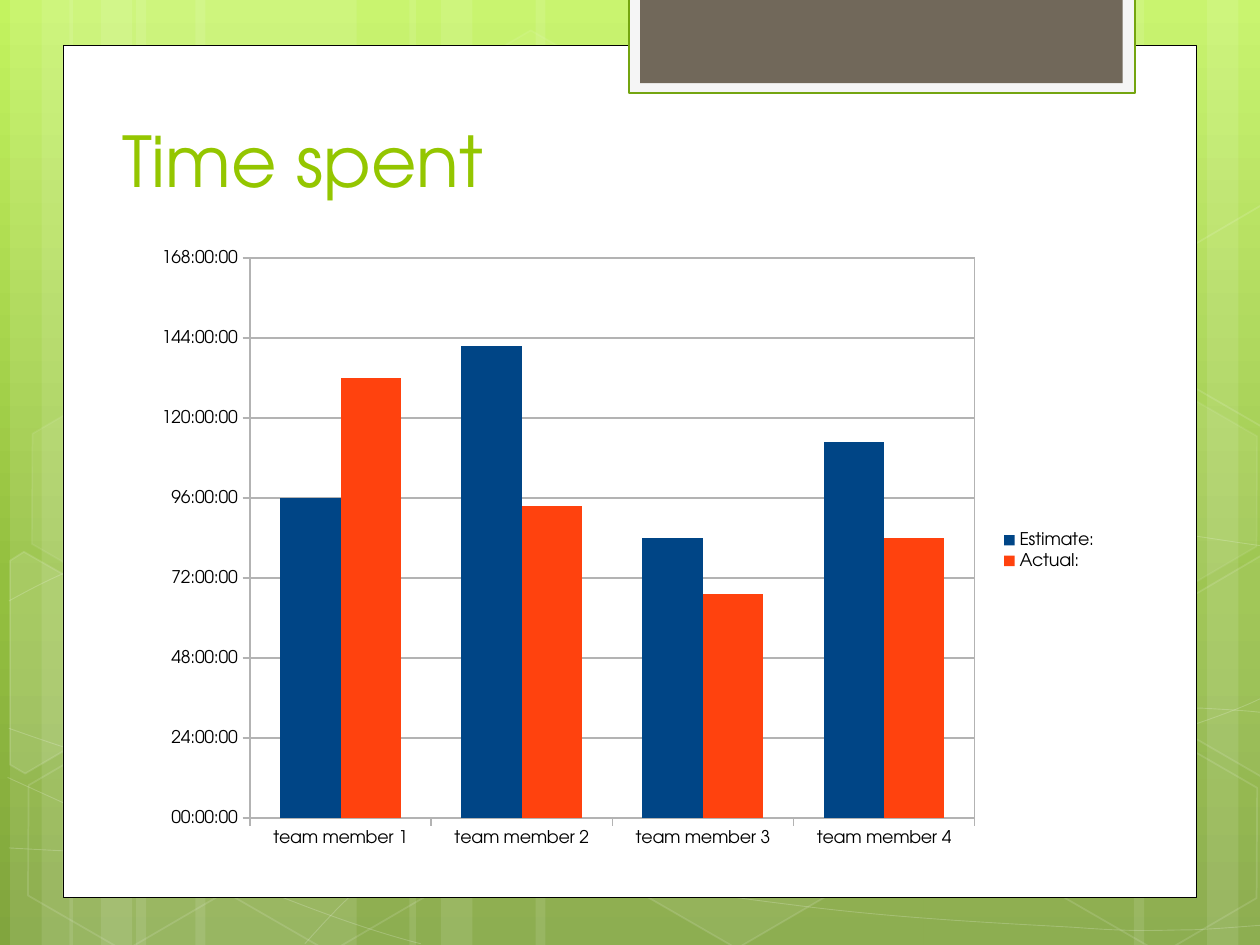
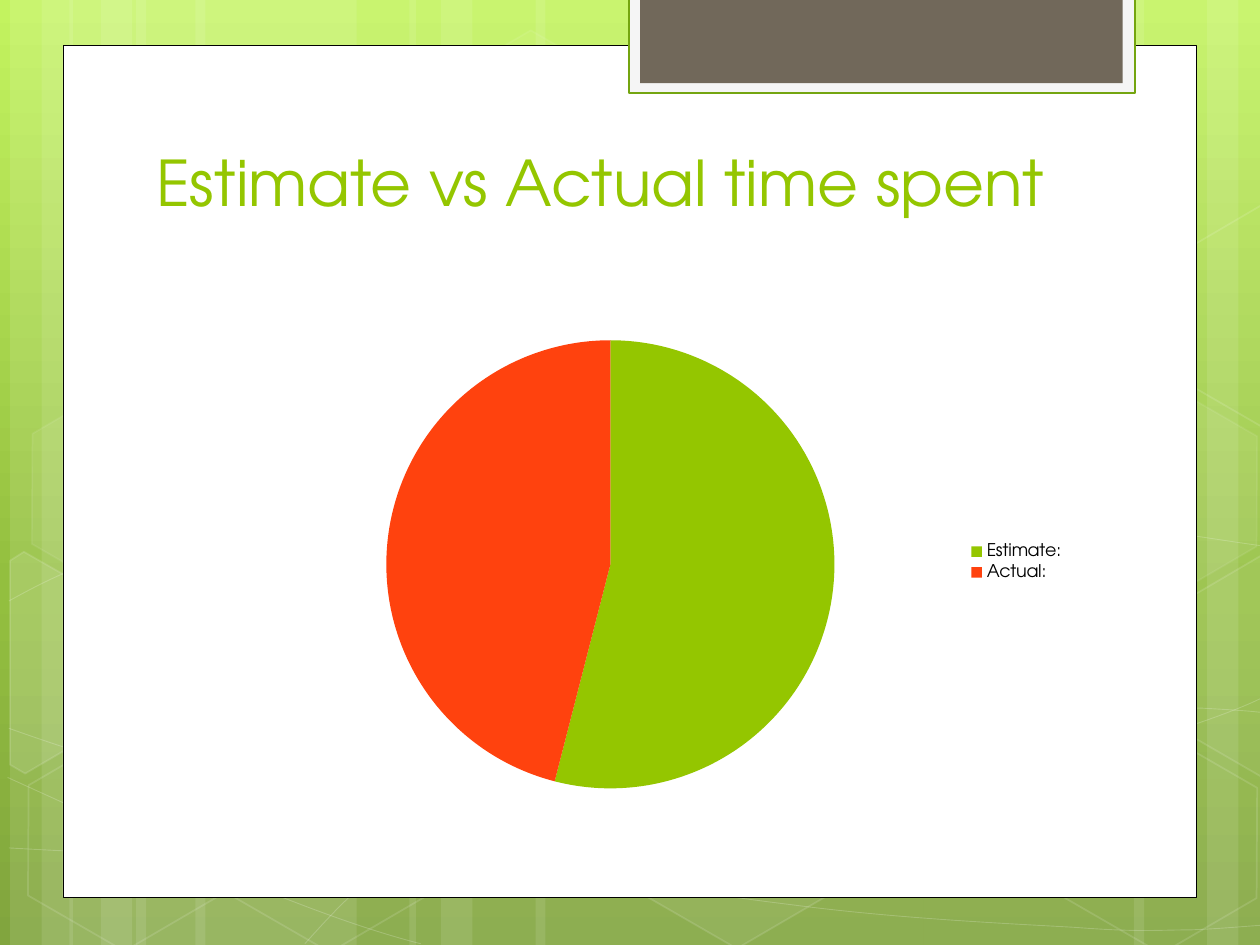
from lxml import etree
from pptx import Presentation
from pptx.chart.data import CategoryChartData
from pptx.dml.color import RGBColor
from pptx.enum.chart import XL_CHART_TYPE, XL_LEGEND_POSITION, XL_TICK_MARK
from pptx.enum.shapes import MSO_SHAPE
from pptx.enum.text import MSO_ANCHOR
from pptx.oxml import parse_xml
from pptx.oxml.ns import nsdecls, qn
from pptx.util import Inches, Pt

RECT, HEXAGON = MSO_SHAPE.RECTANGLE, MSO_SHAPE.HEXAGON
COLUMN, PIE = XL_CHART_TYPE.COLUMN_CLUSTERED, XL_CHART_TYPE.PIE
RIGHT, OUTSIDE, BOTTOM = XL_LEGEND_POSITION.RIGHT, XL_TICK_MARK.OUTSIDE, MSO_ANCHOR.BOTTOM
FONT = "TeX Gyre Adventor"
COLORS = {
    "sky": "C3F35F", "grass": "93BF3F", "moss": "81A53E",
    "white": "FFFFFF", "black": "000000", "frame": "F5F5F5", "frame_line": "74A510",
    "tab": "71685A", "lime": "94C600", "grid": "B3B3B3", "blue": "004586", "orange": "FF420E",
}
RGB = {name: RGBColor.from_string(value) for name, value in COLORS.items()}

STRIPES = [(1.08, 1.75), (0.08, 0.5), (0.33, 0.83), (1.55, 1.75), (0.55, 0.5), (0.8, 0.83),
           (7.33, 1.75), (9.58, 0.5), (9, 0.83), (4.25, 3.08), (3.25, 0.5), (3.5, 0.83)]
CURVES = [
    [(0.07, 6.73), (0.61, 6.76), (1.15, 6.79), (1.9, 6.78), (2.65, 6.77), (3.58, 6.75),
     (4.58, 6.65), (5.58, 6.55), (7, 6.36), (7.92, 6.17), (8.83, 5.98), (9.77, 5.68), (10.07, 5.51)],
    [(0.07, 4.77), (0.36, 4.61), (0.65, 4.46), (1.21, 4.31), (1.78, 4.16), (2.59, 3.94),
     (3.47, 3.87), (4.36, 3.8), (5.44, 3.79), (6.54, 3.87), (7.64, 3.95), (9.47, 4.26), (10.07, 4.34)],
    [(0.06, 6.17), (1.27, 6.72), (2.47, 7.27), (3.34, 7.49)],
    [(0.07, 5.78), (0.38, 5.89), (0.7, 6), (1.28, 6.16), (1.86, 6.31), (2.73, 6.56),
     (3.57, 6.73), (4.4, 6.9), (5.45, 7.08), (6.28, 7.18), (7.11, 7.29), (8, 7.33),
     (8.53, 7.36), (9.05, 7.4), (9.19, 7.38), (9.45, 7.38), (9.71, 7.37), (9.89, 7.35), (10.07, 7.34)],
    [(2.42, 7.49), (2.6, 7.29), (2.78, 7.09), (3.02, 6.91), (3.26, 6.73), (3.6, 6.53),
     (3.88, 6.39), (4.16, 6.25), (4.33, 6.19), (4.7, 6.09), (5.06, 5.99), (5.73, 5.85),
     (6.08, 5.78), (6.44, 5.71), (6.49, 5.71), (6.8, 5.69), (7.11, 5.66), (7.6, 5.63),
     (7.94, 5.62), (8.29, 5.61), (8.86, 5.62), (8.86, 5.62), (8.86, 5.62), (9.53, 5.62),
     (9.53, 5.62), (9.71, 5.63), (9.88, 5.64), (9.97, 5.65), (10.06, 5.66), (10.03, 5.65), (10.06, 5.66)],
]
HEXAGONS = [(3.34, 0.36, 4, 8), (4.97, 5.89, 6, 12), (0.11, 5.91, 0, 12), (0.14, 3.12, 7, 8),
            (1.74, 5.92, 0, 12), (7.53, 4.53, 10, 12), (8.34, 5.93, 0, 12), (8.34, 3.14, 7, 8)]
CUT_HEXAGONS = [
    (10, [(0.08, 4.45), (0.19, 4.38), (0.96, 4.82), (0.95, 5.7), (0.2, 6.14), (0.08, 6.07)]),
    (4, [(9.26, 4.85), (10.01, 4.41), (10.09, 4.46), (10.09, 6.13), (10.02, 6.17), (9.26, 5.73)]),
    (0, [(9.26, 2.07), (10.01, 1.63), (10.1, 1.68), (10.09, 3.35), (10.02, 3.39), (9.26, 2.95)]),
]
CARDS = [((0.5, 0.36, 9, 6.76), "white", "black", 0.5),
         ((4.99, -0.02, 4.02, 0.76), "frame", "frame_line", 1.25),
         ((5.08, -0.02, 3.83, 0.68), "tab", None, 0)]
TITLES = [("Time spent", 40, 0.87, 0.4, 0.05),
          ("Estimate vs Actual time spent", 36, 1.14, 1.12, 0.63)]


def paint(sp, fill=None, fill_alpha=100, line=None, width=1, line_alpha=100):
    sp.shadow.inherit = False
    if fill and fill_alpha:
        sp.fill.solid()
        sp.fill.fore_color.rgb = RGB[fill]
    else:
        sp.fill.background()
    if line:
        sp.line.color.rgb = RGB[line]
        sp.line.width = Pt(width)
    else:
        sp.line.fill.background()
    for parent, alpha in (("", fill_alpha), (qn("a:ln") + "/", line_alpha)):
        clr = sp._element.spPr.find(parent + qn("a:solidFill") + "/" + qn("a:srgbClr"))
        if clr is not None and alpha < 100:
            etree.SubElement(clr, qn("a:alpha")).set("val", str(alpha * 1000))


def place_chart(s, kind, data, box, plot_box):
    chart = s.shapes.add_chart(kind, *map(Inches, box), data).chart
    chart.has_title = False
    chart.font.name = FONT
    chart.font.size = Pt(10)
    chart.font.color.rgb = RGB["black"]
    chart.has_legend = True
    chart.legend.position = RIGHT
    chart.legend.include_in_layout = kind == PIE
    area = chart._chartSpace.chart.plotArea
    for old in area.findall(qn("c:layout")):
        area.remove(old)
    sizes = "".join(f'<c:{tag} val="{v}"/>' for tag, v in zip("xywh", plot_box))
    area.insert(0, parse_xml(
        f'<c:layout {nsdecls("c")}><c:manualLayout><c:layoutTarget val="inner"/>'
        f'<c:xMode val="edge"/><c:yMode val="edge"/>{sizes}</c:manualLayout></c:layout>'))
    return chart


prs = Presentation()
prs.slide_width, prs.slide_height = Inches(10), Inches(7.5)

fill = prs.slide_master.background.fill
fill.gradient()
fill.gradient_angle = 270
stops = prs.slide_master._element.cSld.find(".//" + qn("a:gsLst"))
for stop in list(stops):
    stops.remove(stop)
for pos, name in ((0, "sky"), (62, "grass"), (100, "moss")):
    stop = etree.SubElement(stops, qn("a:gs"), pos=str(pos * 1000))
    etree.SubElement(stop, qn("a:srgbClr"), val=COLORS[name])

for title, size, left, top, bottom_inset in TITLES:
    s = prs.slides.add_slide(prs.slide_layouts[6])
    for x, w in STRIPES:
        sp = s.shapes.add_shape(RECT, Inches(x), 0, Inches(w), prs.slide_height)
        paint(sp, "white", 10)

    for points in CURVES:
        start, *rest = [(Inches(x), Inches(y)) for x, y in points]
        builder = s.shapes.build_freeform(*start)
        builder.add_line_segments(rest, close=False)
        sp = builder.convert_to_shape()
        paint(sp, line="white", width=0.5, line_alpha=20)
        outline = sp._element.find(".//" + qn("a:path"))
        segments = outline.findall(qn("a:lnTo"))
        for i in range(0, len(segments), 3):
            curve = etree.SubElement(outline, qn("a:cubicBezTo"))
            for segment in segments[i:i + 3]:
                curve.append(segment[0])
                outline.remove(segment)

    for x, y, fill_alpha, line_alpha in HEXAGONS:
        sp = s.shapes.add_shape(HEXAGON, Inches(x), Inches(y), Inches(1.75), Inches(1.52))
        sp.adjustments[0] = 0.285
        sp.rotation = 30
        paint(sp, "white", fill_alpha, "white", 1, line_alpha)

    for fill_alpha, points in CUT_HEXAGONS:
        start, *rest = [(Inches(x), Inches(y)) for x, y in points]
        builder = s.shapes.build_freeform(*start)
        builder.add_line_segments(rest)
        paint(builder.convert_to_shape(), "white", fill_alpha, "white", 1, 12)

    for box, color, line, width in CARDS:
        sp = s.shapes.add_shape(RECT, *map(Inches, box))
        paint(sp, color, line=line, width=width)

    tf = s.shapes.add_textbox(Inches(left), Inches(top), Inches(7.68), Inches(1.25)).text_frame
    tf.word_wrap = True
    tf.vertical_anchor = BOTTOM
    tf.margin_bottom = Inches(bottom_inset)
    r = tf.paragraphs[0].add_run()
    r.text = title
    r.font.name = FONT
    r.font.size = Pt(size)
    r.font.color.rgb = RGB["lime"]

time_slide, share_slide = prs.slides

data = CategoryChartData(number_format="[hh]:mm:ss")
data.categories = [f"team member {n}" for n in range(1, 5)]
data.add_series("Estimate:", (4, 5.9, 3.5, 4.7))
data.add_series("Actual:", (5.5, 3.9, 2.8, 3.5))
chart = place_chart(time_slide, COLUMN, data, (1.14, 1.9, 7.67, 4.94), (0.11, 0.03, 0.75, 0.9))
plot = chart.plots[0]
plot.gap_width = 100
plot.overlap = 0
plot.vary_by_categories = False
for series, color in zip(plot.series, ("blue", "orange")):
    series.format.fill.solid()
    series.format.fill.fore_color.rgb = RGB[color]
axis = chart.value_axis
axis.minimum_scale, axis.maximum_scale, axis.major_unit = 0, 7, 1
axis.has_major_gridlines = True
axis.tick_labels.number_format = "[hh]:mm:ss"
axis.tick_labels.number_format_is_linked = False
for ax in (axis, chart.category_axis):
    ax.major_tick_mark = OUTSIDE
for line in (axis.format.line, chart.category_axis.format.line, axis.major_gridlines.format.line):
    line.color.rgb = RGB["grid"]
    line.width = Pt(0.75)
chart._chartSpace.chart.plotArea.append(parse_xml(
    f'<c:spPr {nsdecls("c", "a")}><a:noFill/><a:ln w="9525"><a:solidFill>'
    f'<a:srgbClr val="{COLORS["grid"]}"/></a:solidFill></a:ln></c:spPr>'))

data = CategoryChartData()
data.categories = ["Estimate:", "Actual:"]
data.add_series("Series 1", (54, 46))
chart = place_chart(share_slide, PIE, data, (1.14, 2.54, 7.41, 3.84), (0.26, 0.04, 0.48, 0.93))
plot = chart.plots[0]
plot.vary_by_categories = True
for i, color in enumerate(("lime", "orange")):
    point = plot.series[0].points[i]
    point.format.fill.solid()
    point.format.fill.fore_color.rgb = RGB[color]
    point.format.line.fill.background()

prs.save("out.pptx")
